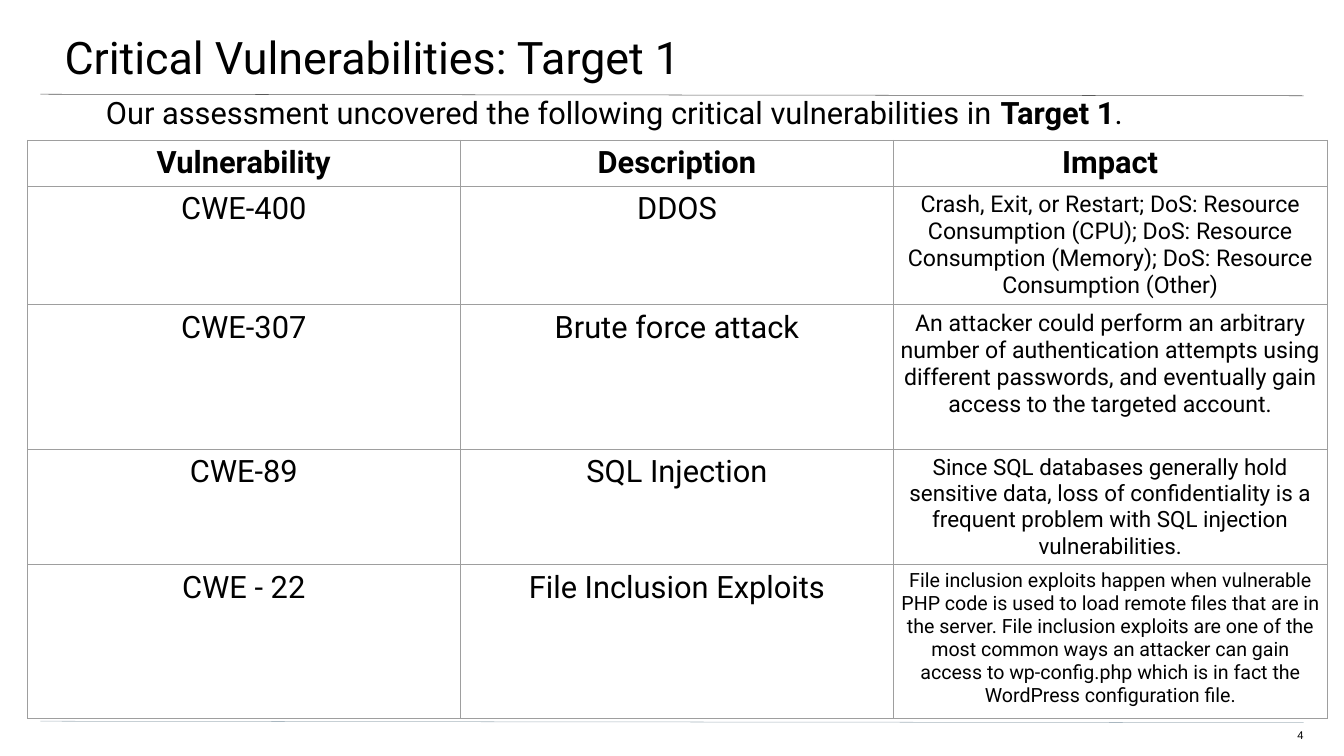
from dataclasses import dataclass

from lxml import etree
from pptx import Presentation
from pptx import util as u
from pptx.dml.color import RGBColor
from pptx.enum import shapes, text
from pptx.oxml import ns


@dataclass(frozen=True)
class Theme:
    """Fonts, colours and type sizes of the slide."""
    font: str = "Roboto"
    number_font: str = "Arial"
    ink: str = "000000"
    title_rule: str = "595959"
    footer_rule: str = "A9B7C0"
    grid: str = "9E9E9E"
    line_width: float = 0.75
    title_size: int = 64
    body_size: int = 44
    number_size: int = 16


THEME = Theme()
TABLE_HEIGHT = 11.58
HEADINGS = ("Vulnerability", "Description", "Impact")
VULNERABILITIES = (
    ("CWE-400", "DDOS",
     "Crash, Exit, or Restart; DoS: Resource Consumption (CPU); DoS: Resource "
     "Consumption (Memory); DoS: Resource Consumption (Other)", 33, 2.33),
    ("CWE-307", "Brute force attack",
     "An attacker could perform an arbitrary number of authentication attempts using "
     "different passwords, and eventually gain access to the targeted account.", 33, 2.87),
    ("CWE-89", "SQL Injection",
     "Since SQL databases generally hold sensitive data, loss of confidentiality is a "
     "frequent problem with SQL injection vulnerabilities.", 32, 1.18),
    ("CWE - 22", "File Inclusion Exploits",
     "File inclusion exploits happen when vulnerable PHP code is used to load remote "
     "files that are in the server. File inclusion exploits are one of the most common "
     "ways an attacker can gain access to wp-config.php which is in fact the WordPress "
     "configuration file.", 28, 3.05),
)


def write_text(frame, *parts, size=THEME.body_size, font=THEME.font,
               align=text.PP_ALIGN.LEFT, bold=False, bold_parts=()):
    """Write the parts as runs of one formatted paragraph."""
    frame.word_wrap = True
    paragraph = frame.paragraphs[0]
    paragraph.alignment = align
    for part in parts:
        run = paragraph.add_run()
        run.text = part
        run.font.name = font
        run.font.size = u.Pt(size)
        run.font.bold = bold or part in bold_parts
        run.font.color.rgb = RGBColor.from_string(THEME.ink)


def add_text_box(slide, box, insets, *parts, **text_format):
    """Add a fixed-size text box with left, top, right and bottom insets."""
    frame = slide.shapes.add_textbox(*map(u.Inches, box)).text_frame
    frame.auto_size = text.MSO_AUTO_SIZE.NONE
    frame.vertical_anchor = text.MSO_ANCHOR.TOP
    (frame.margin_left, frame.margin_top,
     frame.margin_right, frame.margin_bottom) = map(u.Inches, insets)
    write_text(frame, *parts, **text_format)


def add_rule(slide, top, color):
    """Add a thin, slightly sloping rule across the slide."""
    ends = map(u.Inches, (0.8, top, 25.86, top + 0.03))
    rule = slide.shapes.add_connector(shapes.MSO_CONNECTOR.STRAIGHT, *ends)
    rule.line.color.rgb = RGBColor.from_string(color)
    rule.line.width = u.Pt(THEME.line_width)
    etree.SubElement(rule._element.spPr, ns.qn("a:effectLst"))


def format_cell(cell):
    """Give a cell its insets, grid lines and empty fill."""
    cell.margin_left = cell.margin_right = u.Inches(0.1)
    cell.margin_top = cell.margin_bottom = u.Inches(0.1)
    properties = cell._tc.get_or_add_tcPr()
    for side in ("lnL", "lnR", "lnT", "lnB"):
        line = etree.SubElement(properties, ns.qn(f"a:{side}"), w=str(u.Pt(THEME.line_width)))
        fill = etree.SubElement(line, ns.qn("a:solidFill"))
        etree.SubElement(fill, ns.qn("a:srgbClr"), val=THEME.grid)
    cell.fill.background()


def add_vulnerability_table(slide):
    """Add the table of vulnerabilities with its heading row."""
    rows = [(*HEADINGS, THEME.body_size, 0.9), *VULNERABILITIES]
    box = map(u.Inches, (0.54, 2.78, 25.78, TABLE_HEIGHT))
    table_frame = slide.shapes.add_table(len(rows), len(HEADINGS), *box)
    table = table_frame.table
    table.horz_banding = False
    table.first_row = False
    for row_index, (*labels, impact_size, row_height) in enumerate(rows):
        table.rows[row_index].height = u.Inches(row_height)
        sizes = (THEME.body_size, THEME.body_size, impact_size)
        for column_index, (label, size) in enumerate(zip(labels, sizes)):
            cell = table.cell(row_index, column_index)
            format_cell(cell)
            write_text(cell.text_frame, label, size=size, bold=row_index == 0,
                       align=text.PP_ALIGN.CENTER)
    table_frame.height = u.Inches(TABLE_HEIGHT)


def main():
    """Build and save the slide."""
    presentation = Presentation()
    presentation.slide_width = u.Inches(26.66)
    presentation.slide_height = u.Inches(15)
    slide = presentation.slides.add_slide(presentation.slide_layouts[6])
    add_rule(slide, 1.87, THEME.title_rule)
    add_rule(slide, 14.31, THEME.footer_rule)
    add_text_box(slide, (-0.05, 0.06, 26.73, 1.56), (1.33, 0.53, 0.8, 0.27),
                 "Critical Vulnerabilities: Target 1", size=THEME.title_size)
    add_text_box(slide, (25.1, 14.46, 0.76, 0.31), (0, 0, 0, 0), "4",
                 size=THEME.number_size, font=THEME.number_font, align=text.PP_ALIGN.RIGHT)
    add_text_box(slide, (0.77, 1.85, 25.09, 10.79), (1.33, 0, 1.33, 0),
                 "Our assessment uncovered the following critical vulnerabilities in ",
                 "Target 1", ".", bold_parts=("Target 1",))
    add_vulnerability_table(slide)
    presentation.save("out.pptx")


if __name__ == "__main__":
    main()
